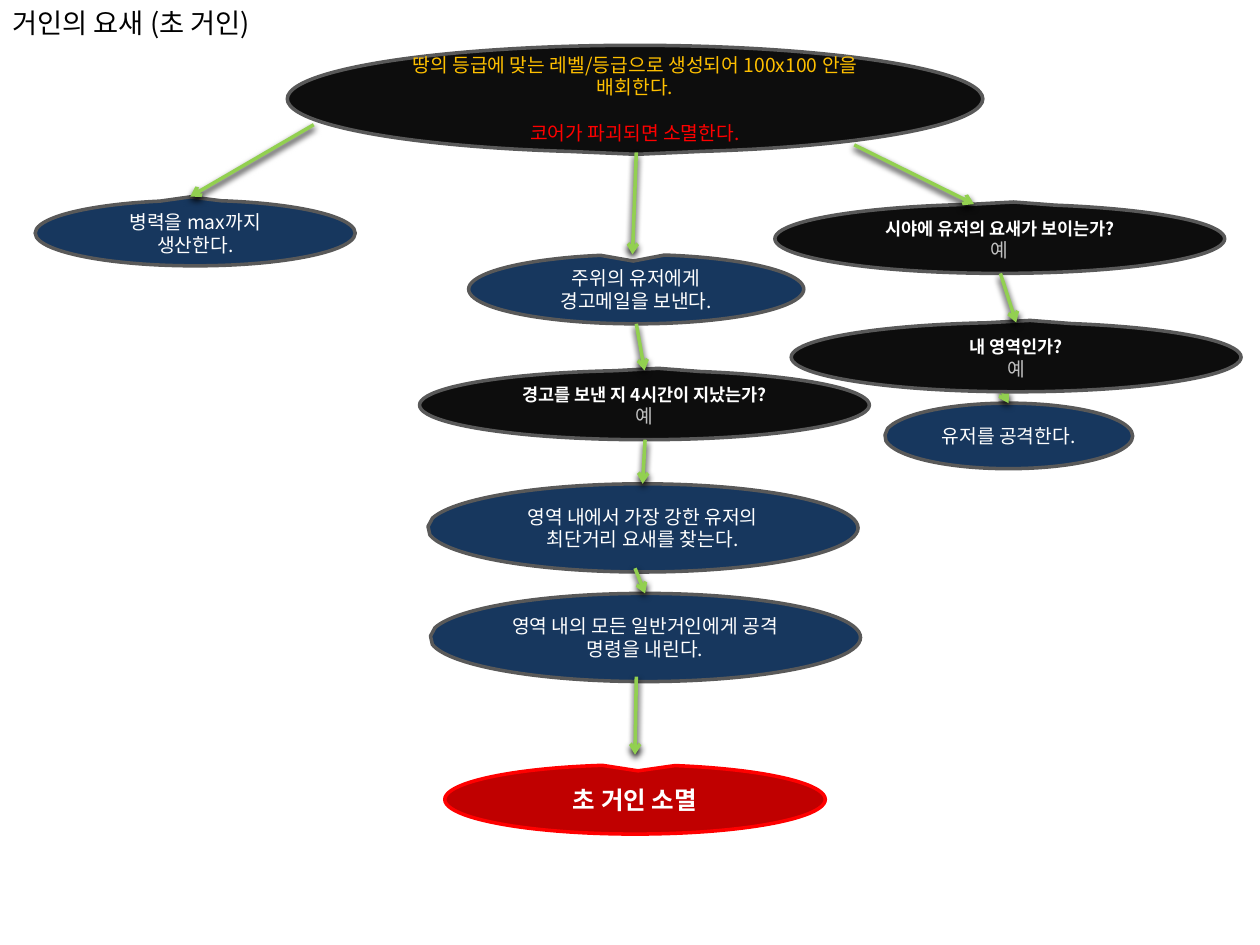
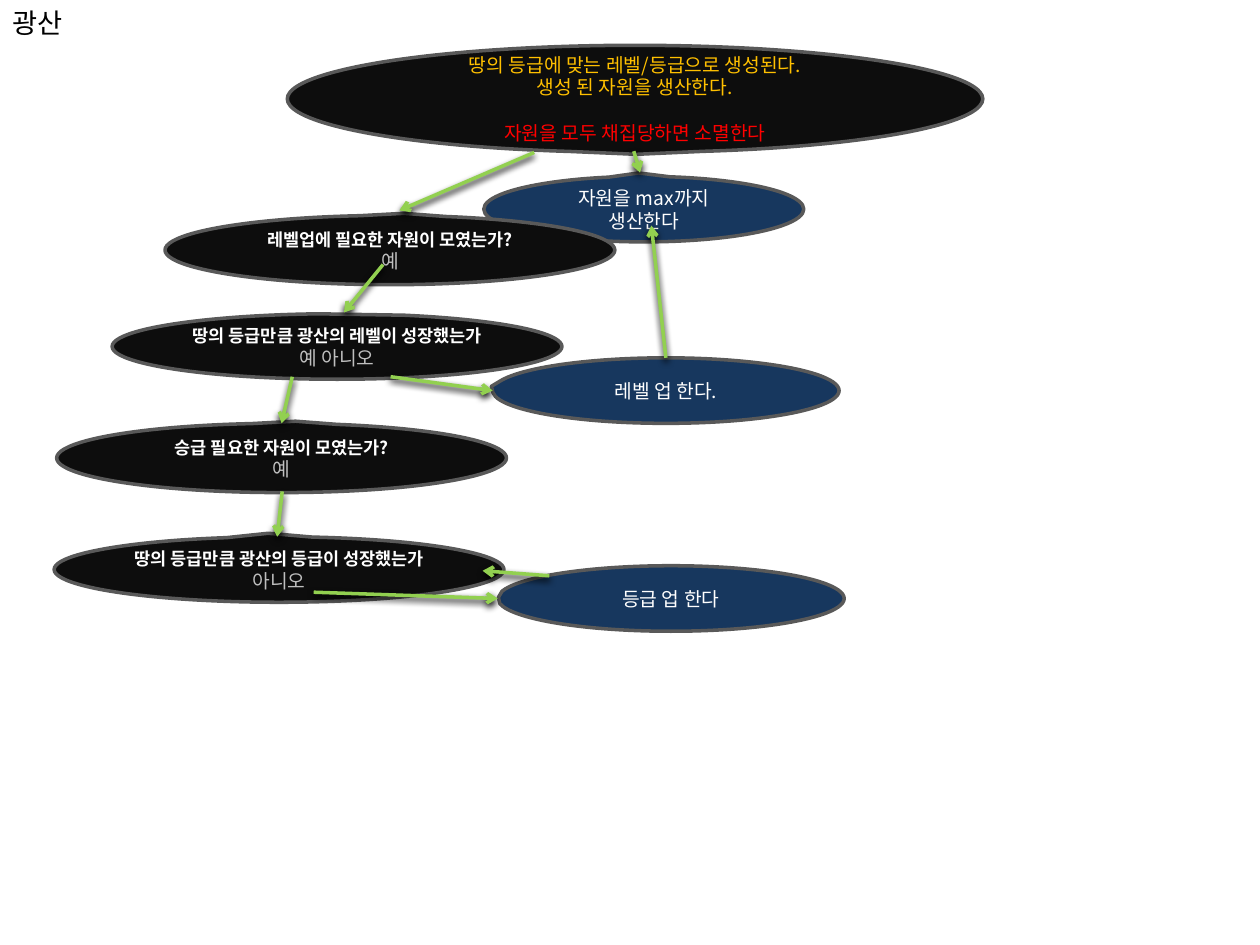
from lxml.etree import SubElement
from pptx import Presentation
from pptx.dml.color import RGBColor
from pptx.enum.shapes import MSO_CONNECTOR, MSO_SHAPE
from pptx.enum.text import MSO_ANCHOR, PP_ALIGN
from pptx.oxml.ns import qn
from pptx.util import Inches, Pt

# Colours
BLACK = RGBColor(0x00, 0x00, 0x00)
WHITE = RGBColor(0xFF, 0xFF, 0xFF)
NEAR_BLACK = RGBColor(0x0D, 0x0D, 0x0D)
NAVY = RGBColor(0x17, 0x37, 0x5E)
GREY = RGBColor(0x59, 0x59, 0x59)
LIGHT_GREY = RGBColor(0xBF, 0xBF, 0xBF)
AMBER = RGBColor(0xFF, 0xC0, 0x00)
RED = RGBColor(0xFF, 0x00, 0x00)
DARK_RED = RGBColor(0xC0, 0x00, 0x00)
GREEN = RGBColor(0x92, 0xD0, 0x50)

# Text formats: font attributes and colour
FONT = "Noto Sans CJK KR"
TITLE = ({"size": Pt(15.6), "bold": False}, BLACK)
RULE = ({"size": Pt(11), "bold": False}, AMBER)
ENDING_RULE = ({"size": Pt(11), "bold": False}, RED)
TASK = ({"size": Pt(11), "bold": False}, WHITE)
QUESTION = ({"size": Pt(10), "bold": True}, WHITE)
ANSWER = ({"size": Pt(11), "bold": False}, LIGHT_GREY)
FINALE = ({"size": Pt(14), "bold": True}, WHITE)

# Callout tips, relative to the centre of the ellipse
TIP_TOP = (0.031, -0.531)
TIP_TOP_LEFT = (-0.016, -0.553)
TIP_LEFT = (-0.498, -0.016)


def write(paragraph, text, text_format):
    values, color = text_format
    run = paragraph.add_run()
    run.text = text
    for name, value in {"name": FONT, **values}.items():
        setattr(run.font, name, value)
    run.font.color.rgb = color
    SubElement(run.font._element, qn("a:ea"), typeface=FONT)


def add_title(slide, text):
    title = slide.shapes.add_textbox(0, 0, Inches(9.69), Inches(0.36))
    title.text_frame.word_wrap = True
    title.text_frame.vertical_anchor = MSO_ANCHOR.MIDDLE
    write(title.text_frame.paragraphs[0], text, TITLE)


def add_step(slide, place, tip, lines, fill=NAVY, outline=GREY):
    """Draw one ellipse of the flow; lines holds (text, format) pairs."""
    step = slide.shapes.add_shape(MSO_SHAPE.OVAL_CALLOUT, *map(Inches, place))
    step.adjustments[0], step.adjustments[1] = tip
    step.shadow.inherit = False
    step.fill.solid()
    step.fill.fore_color.rgb = fill
    step.line.color.rgb = outline
    step.line.width = Pt(2)
    frame = step.text_frame
    frame.word_wrap = True
    frame.vertical_anchor = MSO_ANCHOR.MIDDLE
    for index, (text, text_format) in enumerate(lines):
        paragraph = frame.add_paragraph() if index else frame.paragraphs[0]
        paragraph.alignment = PP_ALIGN.CENTER
        if text_format is not FINALE:
            paragraph.line_spacing = Pt(13)
        if text_format is ENDING_RULE:
            paragraph.space_before = Pt(13)
        write(paragraph, text, text_format)
    return step


def add_start(slide, rules, ending):
    lines = [(rule, RULE) for rule in rules] + [(ending, ENDING_RULE)]
    add_step(slide, (2.28, 0.36, 5.52, 0.85), (0.002, 0.518), lines, NEAR_BLACK)


def add_task(slide, place, text, tip=TIP_LEFT):
    return add_step(slide, place, tip, [(text, TASK)])


def add_check(slide, left, top, question, answer, height=0.55, tip=TIP_TOP):
    lines = [(question, QUESTION), (answer, ANSWER)]
    return add_step(slide, (left, top, 3.57, height), tip, lines, NEAR_BLACK)


def add_arrow(slide, start, end, source=None, target=None):
    """Draw an arrow; source and target are steps joined at their top middle."""
    arrow = slide.shapes.add_connector(
        MSO_CONNECTOR.STRAIGHT, *map(Inches, (*start, *end)))
    if source is not None:
        arrow.begin_connect(source, 0)
    if target is not None:
        arrow.end_connect(target, 0)
    arrow.line.color.rgb = GREEN
    arrow.line.width = Pt(2)
    SubElement(arrow.line._get_or_add_ln(), qn("a:tailEnd"), type="arrow")
    effects = SubElement(arrow._element.spPr, qn("a:effectLst"))
    shadow = SubElement(effects, qn("a:outerShdw"), blurRad=str(Pt(4)),
                        dist=str(Pt(2)), dir="5400000", rotWithShape="0")
    SubElement(shadow, qn("a:srgbClr"), val=str(BLACK))


def build_fortress(slide):
    add_title(slide, "거인의 요새 (초 거인)")
    add_start(slide, ["땅의 등급에 맞는 레벨/등급으로 생성되어 100x100 안을 배회한다."],
              "코어가 파괴되면 소멸한다.")

    # Troops
    add_task(slide, (0.28, 1.59, 2.54, 0.52), "병력을 max까지 생산한다.", TIP_TOP_LEFT)
    add_arrow(slide, (2.49, 0.99), (1.51, 1.56))

    # Attack on a fortress in sight
    add_check(slide, 6.15, 1.62, "시야에 유저의 요새가 보이는가?", "예")
    attack = add_task(slide, (7.02, 3.2, 1.97, 0.52), "유저를 공격한다.")
    add_arrow(slide, (7.84, 2.91), (8, 3.2), target=attack)
    territory = add_check(slide, 6.28, 2.56, "내 영역인가?", "예")
    add_arrow(slide, (6.78, 1.15), (7.73, 1.62))
    add_arrow(slide, (7.94, 2.17), (8.06, 2.56), target=territory)

    # Warning, then the general attack
    add_task(slide, (3.72, 2.02, 2.66, 0.55), "주위의 유저에게 경고메일을 보낸다.",
             (-0.009, -0.406))
    waiting = add_check(slide, 3.33, 2.94, "경고를 보낸 지 4시간이 지났는가?", "예")
    search = add_task(slide, (3.39, 3.84, 3.42, 0.7),
                      "영역 내에서 가장 강한 유저의 최단거리 요새를 찾는다.")
    order = add_task(slide, (3.41, 4.71, 3.42, 0.7),
                     "영역 내의 모든 일반거인에게 공격 명령을 내린다.")
    add_step(slide, (3.53, 6.07, 3.02, 0.55), (0.008, -0.413),
             [("초 거인 소멸", FINALE)], DARK_RED, RED)
    add_arrow(slide, (5.05, 1.21), (5.02, 2.02))
    add_arrow(slide, (5.05, 2.57), (5.12, 2.94), target=waiting)
    add_arrow(slide, (5.12, 3.49), (5.1, 3.84), target=search)
    add_arrow(slide, (5.04, 4.51), (5.12, 4.71), target=order)
    add_arrow(slide, (5.05, 5.37), (5.04, 5.99))


def build_mine(slide):
    add_title(slide, "광산")
    add_start(slide, ["땅의 등급에 맞는 레벨/등급으로 생성된다.", "생성 된 자원을 생산한다."],
              "자원을 모두 채집당하면 소멸한다")

    # Production and level
    add_check(slide, 0.89, 2.49, "땅의 등급만큼 광산의 레벨이 성장했는가", "예 아니오",
              0.52, (0.054, -0.488))
    level_up = add_task(slide, (3.91, 2.84, 2.75, 0.52), "레벨 업 한다.",
                        (-0.504, -0.065))
    add_task(slide, (3.84, 1.4, 2.54, 0.52), "자원을 max까지 생산한다", TIP_TOP_LEFT)
    add_check(slide, 1.31, 1.71, "레벨업에 필요한 자원이 모였는가?", "예")

    # Grade
    add_check(slide, 0.43, 4.26, "땅의 등급만큼 광산의 등급이 성장했는가", "아니오",
              0.52, (-0.024, -0.553))
    add_task(slide, (3.95, 4.49, 2.75, 0.52), "등급 업 한다")
    promotion = add_check(slide, 0.45, 3.36, "승급 필요한 자원이 모였는가?", "예")

    # Flow
    add_arrow(slide, (5.29, 2.84), (5.17, 1.79), source=level_up)
    add_arrow(slide, (2.32, 2.99), (2.24, 3.36), target=promotion)
    for start, end in [
        ((4.24, 1.21), (3.17, 1.67)),
        ((5.03, 1.2), (5.08, 1.37)),
        ((3.04, 2.1), (2.73, 2.48)),
        ((3.1, 2.99), (3.91, 3.1)),
        ((2.24, 3.9), (2.2, 4.26)),
        ((4.36, 4.57), (3.83, 4.53)),
        ((2.49, 4.7), (3.95, 4.75)),
    ]:
        add_arrow(slide, start, end)


def main():
    deck = Presentation()
    deck.slide_width, deck.slide_height = Inches(10), Inches(7.5)
    for build in (build_fortress, build_mine):
        build(deck.slides.add_slide(deck.slide_layouts[6]))
    deck.save("out.pptx")


if __name__ == "__main__":
    main()
